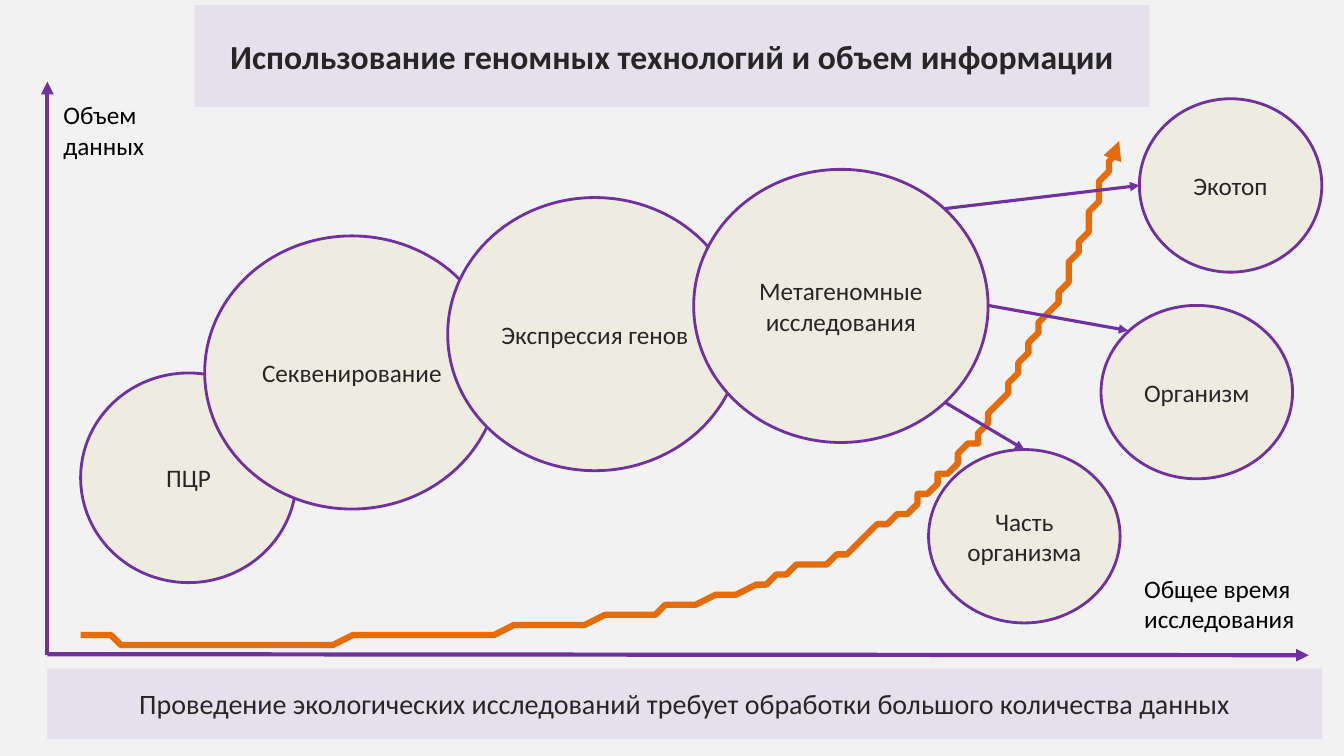
from lxml.etree import SubElement
from pptx import Presentation
from pptx.dml.color import RGBColor
from pptx.enum.shapes import MSO_CONNECTOR as Connector, MSO_SHAPE as Shape
from pptx.enum.text import MSO_ANCHOR as Anchor, PP_ALIGN as Align
from pptx.oxml.ns import qn
from pptx.util import Inches, Pt

COLUMNS, ROWS = 133.3, 75
CELL = Inches(0.1)
PURPLE, ORANGE, LILAC, CREAM = "7030A0", "E46C0A", "E6E0EC", "EEECE1"
DARK, BLACK, PALE = "262626", "000000", "F2F2F2"

METHOD_SIZE = (29.2, 27.1)
METHODS = [
    ("ПЦР", 8, 37, 21.4, 20.8),
    ("Секвенирование", 20.3, 23.4, *METHOD_SIZE),
    ("Экспрессия генов", 44.4, 19.6, *METHOD_SIZE),
    ("Метагеномные исследования", 68.8, 16.8, *METHOD_SIZE),
]
OBJECTS = [
    ("Часть организма", 92.1, 44.6, 19, 17.2),
    ("Организм", 109.2, 30.3, 19, 17.2),
    ("Экотоп", 113, 9.8, 18.1, 17.2),
]
OBJECT_ARROWS = [
    ((93.7, 39.9), (101.6, 44.6)),
    ((98, 30.3), (111.9, 32.8)),
    ((93.7, 20.7), (113, 18.4)),
]
AXES = [((4.7, 65), (4.7, 8.1)), ((4.7, 64.9), (129.8, 65))]
AXIS_LABELS = [
    ("Объем данных", 5.3, 9.4, 11.9, 7.1),
    ("Общее время исследования", 112.5, 56.4, 18.6, 7.1),
]
GROWTH_START = (8, 63.3)
GROWTH_CURVES = [
    ((15.8, 63.7), (23.7, 64), (33.2, 63.5)),
    ((42.6, 63.1), (56.3, 62.2), (64.9, 60.6)),
    ((73.4, 59), (79.3, 56.8), (84.6, 54)),
    ((89.9, 51.2), (93.2, 47.8), (96.6, 43.7)),
    ((99.9, 39.6), (102.3, 34.4), (104.7, 29.6)),
    ((107.1, 24.7), (109, 19.6), (110.9, 14.5)),
]
CURVE_STEPS = 16


def color(value):
    """Turn a hex string into a colour."""
    return RGBColor.from_string(value)


def cells(*counts):
    """Convert counts of grid cells into lengths."""
    return [round(count * CELL) for count in counts]


def write(shape, text, size, text_color, align, anchor, bold=False):
    """Write one styled paragraph into a shape."""
    frame = shape.text_frame
    frame.word_wrap = True
    frame.vertical_anchor = anchor
    paragraph = frame.paragraphs[0]
    paragraph.text = text
    paragraph.alignment = align
    font = paragraph.font
    font.name, font.size, font.bold = "Calibri", Pt(size), bold
    font.color.rgb = color(text_color)


def add_panel(slide, kind, fill, text, box, size=18, bold=False):
    """Add a filled shape with centred text."""
    shape = slide.shapes.add_shape(kind, *cells(*box))
    shape.shadow.inherit = False
    shape.fill.solid()
    shape.fill.fore_color.rgb = color(fill)
    shape.line.fill.background()
    write(shape, text, size, DARK, Align.CENTER, Anchor.MIDDLE, bold)
    return shape


def add_circle(slide, text, *box):
    """Add an outlined ellipse with a caption."""
    circle = add_panel(slide, Shape.OVAL, CREAM, text, box)
    circle.line.color.rgb = color(PURPLE)
    circle.line.width = Pt(2)
    circle.text_frame.margin_left = circle.text_frame.margin_right = Inches(0.05)


def add_label(slide, text, *box):
    """Add a plain axis label."""
    label = slide.shapes.add_textbox(*cells(*box))
    write(label, text, 18, BLACK, Align.LEFT, Anchor.TOP)


def style_arrow(line, line_color, width):
    """Colour a line and give its end an arrowhead."""
    line.color.rgb = color(line_color)
    line.width = Pt(width)
    SubElement(line._get_or_add_ln(), qn("a:tailEnd"), type="triangle")


def add_arrow(slide, start, end, width):
    """Add a straight purple arrow."""
    arrow = slide.shapes.add_connector(Connector.STRAIGHT, *cells(*start, *end))
    style_arrow(arrow.line, PURPLE, width)
    SubElement(arrow._element.spPr, qn("a:effectLst"))


def bezier(points, share):
    """Find the point of a cubic curve at a share of its course."""
    rest = 1 - share
    weights = (rest**3, 3 * rest**2 * share, 3 * rest * share**2, share**3)
    return tuple(sum(w * p[axis] for w, p in zip(weights, points)) for axis in (0, 1))


def add_growth_curve(slide):
    """Draw the rising curve of data volume."""
    start, vertices = GROWTH_START, []
    for curve in GROWTH_CURVES:
        points = (start, *curve)
        vertices += [bezier(points, step / CURVE_STEPS) for step in range(1, CURVE_STEPS + 1)]
        start = curve[-1]
    builder = slide.shapes.build_freeform(*GROWTH_START, scale=CELL)
    builder.add_line_segments(vertices, close=False)
    growth = builder.convert_to_shape()
    growth.shadow.inherit = False
    growth.fill.background()
    style_arrow(growth.line, ORANGE, 4.5)


def main():
    """Build the slide and save it."""
    presentation = Presentation()
    presentation.slide_width, presentation.slide_height = cells(COLUMNS, ROWS)
    slide = presentation.slides.add_slide(presentation.slide_layouts[6])
    slide.background.fill.solid()
    slide.background.fill.fore_color.rgb = color(PALE)

    add_growth_curve(slide)
    add_panel(slide, Shape.RECTANGLE, LILAC,
              "Использование геномных технологий и объем информации",
              (19.3, 0.5, 94.7, 10.1), 24, True)
    for method in METHODS:
        add_circle(slide, *method)
    for start, end in OBJECT_ARROWS:
        add_arrow(slide, start, end, 2.25)
    for item in OBJECTS:
        add_circle(slide, *item)
    for start, end in AXES:
        add_arrow(slide, start, end, 3)
    for label in AXIS_LABELS:
        add_label(slide, *label)
    add_panel(slide, Shape.RECTANGLE, LILAC,
              "Проведение экологических исследований требует обработки большого количества данных",
              (4.7, 66.3, 126.4, 7), 20)
    presentation.save("out.pptx")


if __name__ == "__main__":
    main()
